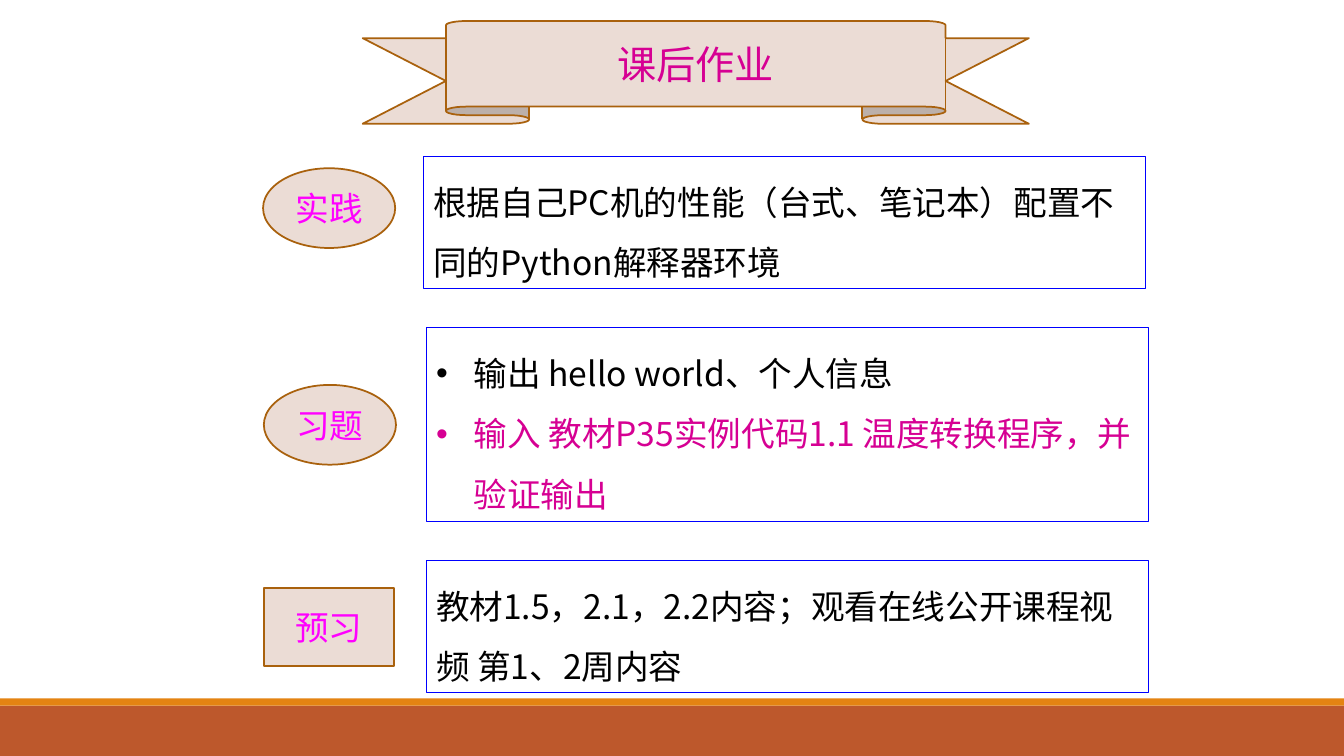
from lxml import etree
from pptx import Presentation
from pptx.dml.color import RGBColor
from pptx.enum.shapes import MSO_SHAPE
from pptx.enum.text import MSO_ANCHOR, MSO_AUTO_SIZE, PP_ALIGN
from pptx.oxml.ns import qn
from pptx.util import Cm, Pt

RECTANGLE, ELLIPSE, RIBBON = MSO_SHAPE.RECTANGLE, MSO_SHAPE.OVAL, MSO_SHAPE.UP_RIBBON
MIDDLE, TOP = MSO_ANCHOR.MIDDLE, MSO_ANCHOR.TOP
CENTER, LEFT = PP_ALIGN.CENTER, PP_ALIGN.LEFT
GROW = MSO_AUTO_SIZE.SHAPE_TO_FIT_TEXT

FONT = "Noto Sans CJK SC"
COLORS = {
    "page": "FFFFFF", "footer": "BD582C", "stripe": "E48312",
    "label": "EBDCD5", "label edge": "A9610D", "label text": "FF00FF",
    "task edge": "0000FF", "text": "000000", "accent": "D60093",
}
PAGE_WIDTH, PAGE_HEIGHT = 33.87, 19.05
TASK_WIDTH = 18.21
BULLET_INDENT = 0.95

# Label, its shape and place, then the task's place and its lines
TASKS = [
    ("实践", ELLIPSE, (6.63, 4.24, 3.33, 2.01), (10.67, 3.94, TASK_WIDTH, 3.33),
     [("根据自己PC机的性能（台式、笔记本）配置不同的Python解释器环境", "text")]),
    ("习题", ELLIPSE, (6.65, 9.7, 3.33, 2.01), (10.74, 8.26, TASK_WIDTH, 4.88),
     [("输出 hello world、个人信息", "text"),
      ("输入 教材P35实例代码1.1 温度转换程序，并验证输出", "accent")]),
    ("预习", RECTANGLE, (6.65, 14.81, 3.28, 1.98), (10.74, 14.12, TASK_WIDTH, 3.33),
     [("教材1.5，2.1，2.2内容；观看在线公开课程视频 第1、2周内容", "text")]),
]


def color(name):
    return RGBColor.from_string(COLORS[name])


def add_figure(page, kind, place, fill=None, edge=None, edge_width=1.25):
    figure = page.shapes.add_shape(kind, *map(Cm, place))
    figure.shadow.inherit = False
    if fill:
        figure.fill.solid()
        figure.fill.fore_color.rgb = color(fill)
    else:
        figure.fill.background()
    if edge:
        figure.line.color.rgb = color(edge)
        figure.line.width = Pt(edge_width)
    else:
        figure.line.fill.background()
    return figure


def add_bullet(para):
    properties = para._p.get_or_add_pPr()
    properties.set("marL", str(Cm(BULLET_INDENT)))
    properties.set("indent", str(-Cm(BULLET_INDENT)))
    etree.SubElement(properties, qn("a:buFont")).set("typeface", "Arial")
    etree.SubElement(properties, qn("a:buChar")).set("char", "•")


def style_para(para, size, color_name, align):
    para.alignment = align
    para.font.size = Pt(size)
    para.font.color.rgb = color(color_name)
    para.font.name = FONT
    # Chinese characters take their font from a separate element
    defaults = para._p.pPr.find(qn("a:defRPr"))
    etree.SubElement(defaults, qn("a:ea")).set("typeface", FONT)


def add_label(page, kind, place, text, size=24, color_name="label text"):
    label = add_figure(page, kind, place, "label", "label edge")
    label.text_frame.vertical_anchor = MIDDLE
    label.text_frame.text = text
    style_para(label.text_frame.paragraphs[0], size, color_name, CENTER)
    return label


def add_task(page, place, lines):
    box = add_figure(page, RECTANGLE, place, edge="task edge", edge_width=0.75)
    frame = box.text_frame
    frame.word_wrap = True
    frame.auto_size = GROW
    frame.vertical_anchor = TOP
    frame.text = "\n".join(text for text, _ in lines)
    for para, (_, color_name) in zip(frame.paragraphs, lines):
        para.line_spacing = 1.5
        if len(lines) > 1:
            add_bullet(para)
        style_para(para, 24, color_name, LEFT)


def main():
    deck = Presentation()
    deck.slide_width, deck.slide_height = Cm(PAGE_WIDTH), Cm(PAGE_HEIGHT)
    page = deck.slides.add_slide(deck.slide_layouts[6])
    page.background.fill.solid()
    page.background.fill.fore_color.rgb = color("page")

    # Footer bands
    add_figure(page, RECTANGLE, (0, 17.78, PAGE_WIDTH, 1.27), "footer")
    add_figure(page, RECTANGLE, (0, 17.6, PAGE_WIDTH, 0.18), "stripe")

    # Title ribbon
    ribbon = add_label(page, RIBBON, (9.14, 0.53, 16.79, 2.59), "课后作业", 28, "accent")
    ribbon.adjustments[0] = 0.167
    ribbon.adjustments[1] = 0.75

    # Homework tasks
    for name, kind, label_place, task_place, lines in TASKS:
        add_label(page, kind, label_place, name)
        add_task(page, task_place, lines)

    deck.save("out.pptx")


if __name__ == "__main__":
    main()
